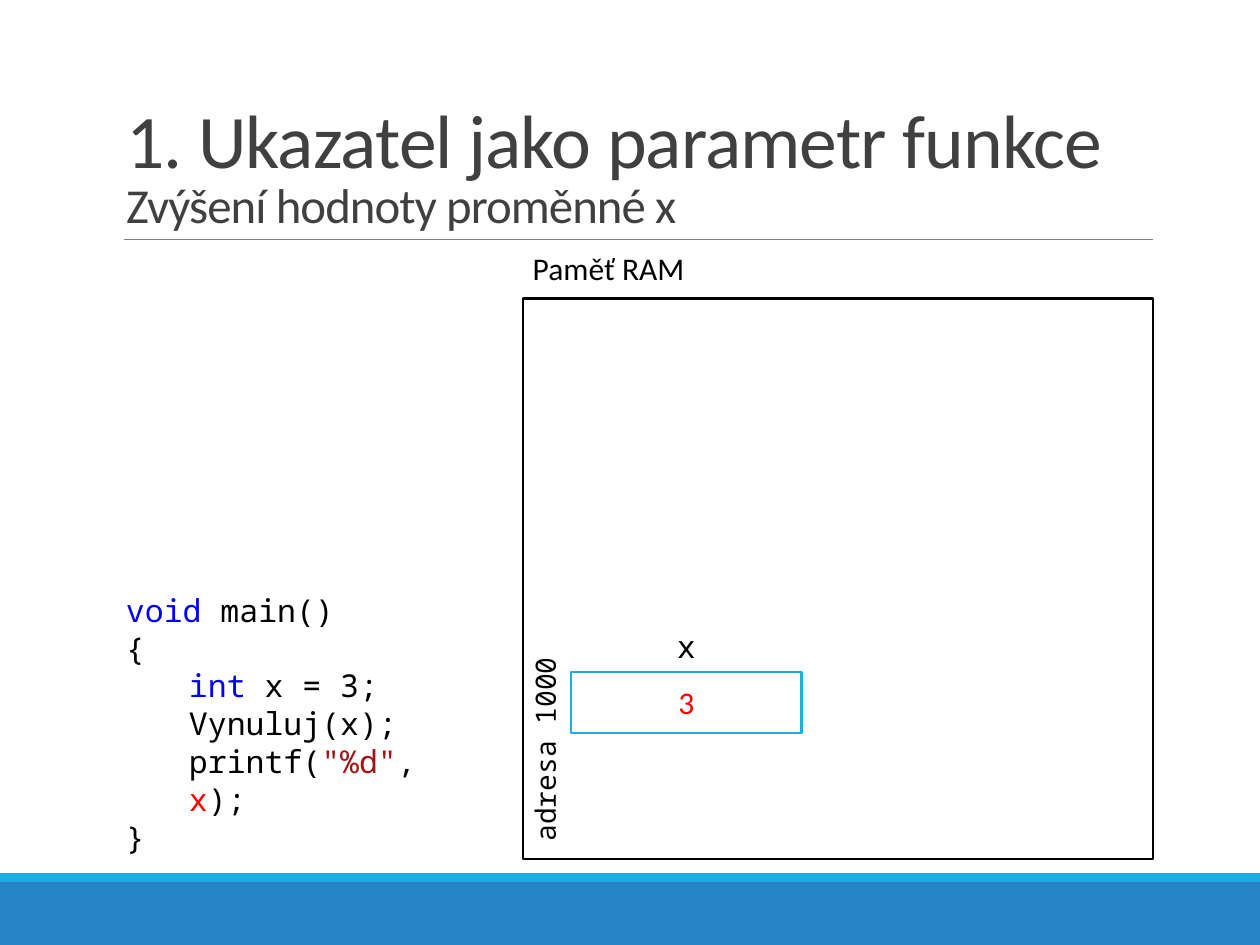
import pptx
import pptx.util
import pptx.dml.color
import pptx.enum.shapes
import pptx.enum.text
import pptx.oxml.ns
import lxml.etree

Cm = pptx.util.Cm
Pt = pptx.util.Pt
ALIGN = pptx.enum.text.PP_ALIGN
ANCHOR = pptx.enum.text.MSO_ANCHOR
AUTO = pptx.enum.text.MSO_AUTO_SIZE

COLORS = {
    "band": "2683C6",
    "accent": "1CADE4",
    "rule": "808080",
    "title": "404040",
    "text": "000000",
    "paper": "FFFFFF",
    "keyword": "0000FF",
    "string": "A31515",
    "value": "FF0000",
}


class MemorySlide:
    sans = "Calibri"
    mono = "Noto Sans Mono"

    def __init__(self, deck):
        self.slide = deck.slides.add_slide(deck.slide_layouts[5])
        self.shapes = self.slide.shapes

    def color(self, name):
        return pptx.dml.color.RGBColor.from_string(COLORS[name])

    def style(self, run, size, font, color):
        run.font.size = Pt(size)
        run.font.name = font
        run.font.color.rgb = self.color(color)

    def rectangle(self, left, top, width, height, fill, line=None):
        rectangle = self.shapes.add_shape(
            pptx.enum.shapes.MSO_SHAPE.RECTANGLE,
            Cm(left), Cm(top), Cm(width), Cm(height))
        rectangle.shadow.inherit = False
        rectangle.fill.solid()
        rectangle.fill.fore_color.rgb = self.color(fill)
        if line:
            rectangle.line.color.rgb = self.color(line)
            rectangle.line.width = Pt(1.25)
        else:
            rectangle.line.fill.background()
        return rectangle

    def rule(self, left, right, y):
        rule = self.shapes.add_connector(
            pptx.enum.shapes.MSO_CONNECTOR.STRAIGHT,
            Cm(left), Cm(y), Cm(right), Cm(y))
        rule.line.color.rgb = self.color("rule")
        rule.line.width = Pt(0.5)
        lxml.etree.SubElement(rule._element.spPr, pptx.oxml.ns.qn("a:effectLst"))

    def title(self, heading, subheading):
        title = self.shapes.title
        title.left, title.top = Cm(2.29), Cm(0.79)
        title.width, title.height = Cm(20.95), Cm(4.04)
        frame = title.text_frame
        frame.text = heading + "\v" + subheading
        frame.auto_size = AUTO.NONE
        frame.vertical_anchor = ANCHOR.BOTTOM
        paragraph = frame.paragraphs[0]
        paragraph.alignment = ALIGN.LEFT
        paragraph.line_spacing = 0.85
        for run, size in zip(paragraph.runs, (43.2, 27.9)):
            self.style(run, size, self.sans, "title")
            run.font._element.set("spc", "-50")

    def text_box(self, left, top, width, height):
        box = self.shapes.add_textbox(Cm(left), Cm(top), Cm(width), Cm(height))
        box.text_frame.word_wrap = True
        box.text_frame.auto_size = AUTO.SHAPE_TO_FIT_TEXT
        return box

    def caption(self, shape, text, size, font, color="text", align=ALIGN.LEFT):
        shape.text_frame.text = text
        paragraph = shape.text_frame.paragraphs[0]
        paragraph.alignment = align
        self.style(paragraph.runs[0], size, font, color)

    def label(self, text, left, top, width, height, size, font,
              align=ALIGN.LEFT, rotation=0):
        label = self.text_box(left, top, width, height)
        label.rotation = rotation
        self.caption(label, text, size, font, align=align)

    def variable(self, value, left, top, width, height):
        cell = self.rectangle(left, top, width, height, "paper", "accent")
        cell.text_frame.vertical_anchor = ANCHOR.MIDDLE
        self.caption(cell, value, 18, self.sans, "value", ALIGN.CENTER)

    def code(self, lines, left, top, width, height, inset):
        frame = self.text_box(left, top, width, height).text_frame
        frame.margin_top = Cm(inset)
        for number, (level, tokens) in enumerate(lines):
            paragraph = frame.add_paragraph() if number else frame.paragraphs[0]
            paragraph.level = level
            paragraph._p.get_or_add_pPr().set("marL", str(Cm(1.27 * level)))
            for text, color in tokens:
                run = paragraph.add_run()
                run.text = text
                self.style(run, 18, self.mono, color)


def main():
    deck = pptx.Presentation()
    deck.slide_width, deck.slide_height = Cm(25.4), Cm(19.05)
    memory = MemorySlide(deck)

    memory.rectangle(0, 17.78, 25.4, 1.27, "band")
    memory.rectangle(0, 17.6, 25.4, 0.18, "accent")
    memory.rule(2.49, 23.24, 4.83)
    memory.title("1. Ukazatel jako parametr funkce", "Zvýšení hodnoty proměnné x")

    memory.rectangle(10.54, 6.02, 12.7, 11.3, "paper", "text")
    main_function = [
        (0, [("void ", "keyword"), ("main()", "text")]),
        (0, [("{", "text")]),
        (1, [("int", "keyword"), (" x = 3;", "text")]),
        (1, [("Vynuluj(x);", "text")]),
        (1, [("printf(", "text"), ('"%d"', "string"), (", ", "text"),
             ("x", "value"), (");", "text")]),
        (0, [("}", "text")]),
    ]
    memory.code(main_function, 2.29, 7.95, 7.42, 8.71, inset=3.96)
    memory.label("Paměť RAM", 10.49, 4.9, 4.72, 1.02, 18, memory.sans)
    memory.variable("3", 11.51, 13.54, 4.65, 1.24)
    memory.label("x", 11.51, 12.52, 4.65, 1.02, 18, memory.mono, ALIGN.CENTER)
    memory.label("adresa 1000", 8.69, 14.83, 4.6, 0.94, 16, memory.mono,
                 ALIGN.RIGHT, rotation=270)

    deck.save("out.pptx")


if __name__ == "__main__":
    main()
